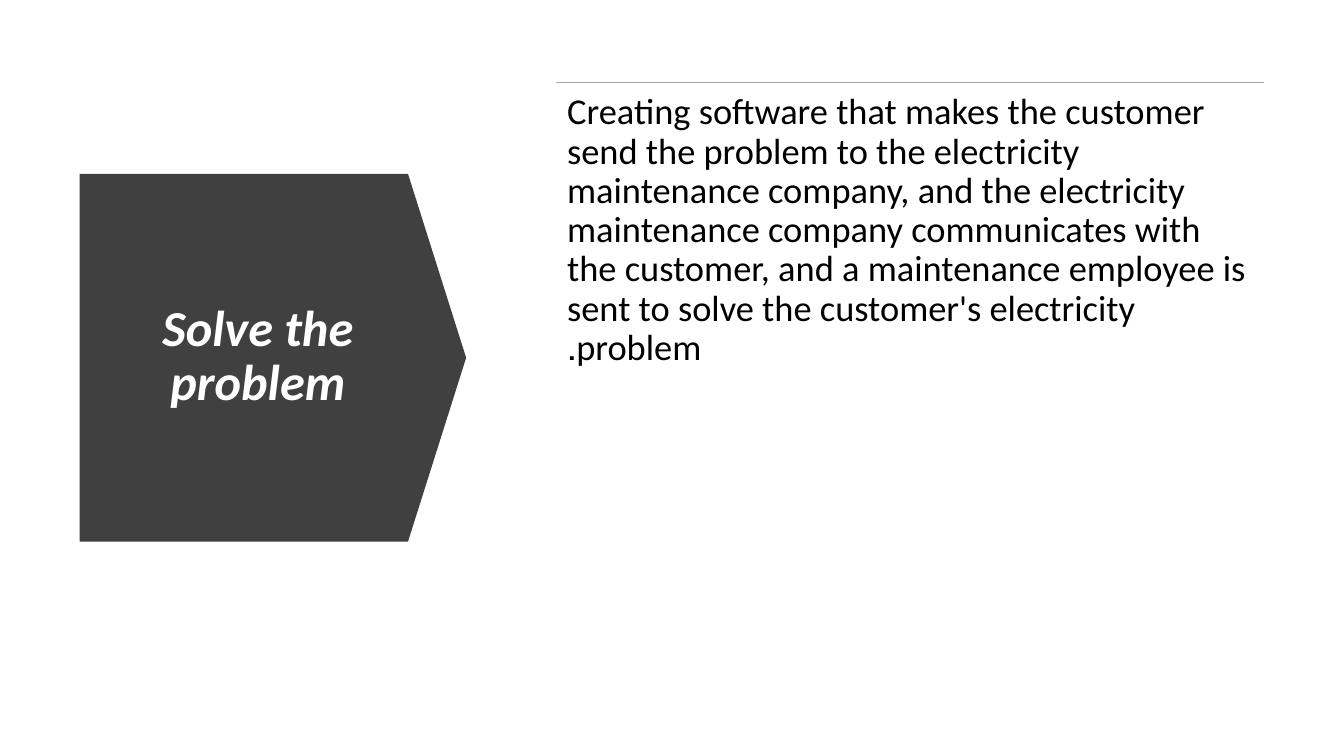
import pptx
import pptx.util
import pptx.dml.color
import pptx.enum.shapes
import pptx.enum.text
import pptx.oxml.ns
import lxml.etree

COLOURS = {"arrow": "404040", "rule": "A5A5A5", "title": "FFFFFF", "body": "000000"}
COLUMNS = 16
SLIDE_WIDTH = pptx.util.Inches(13.33)
SLIDE_HEIGHT = pptx.util.Inches(7.5)
BODY_LEFT, BODY_TOP, BODY_WIDTH = 6.62, 0.98, 8.43


def grid(*cells):
    """Turn counts of square grid cells into slide lengths."""
    return [round(cell * SLIDE_WIDTH / COLUMNS) for cell in cells]


def colour(name):
    """Look up a named colour."""
    return pptx.dml.color.RGBColor.from_string(COLOURS[name])


def add_arrow(page, left, top, width, height):
    """Add the broad arrow that points right at the body text."""
    arrow = page.shapes.add_shape(
        pptx.enum.shapes.MSO_SHAPE.DOWN_ARROW, *grid(left, top, width, height))
    arrow.rotation = 270
    arrow.adjustments[0] = 1
    arrow.adjustments[1] = 0.158
    arrow.shadow.inherit = False
    arrow.fill.solid()
    arrow.fill.fore_color.rgb = colour("arrow")
    arrow.line.fill.background()


def add_rule(page, left, top, width):
    """Add a thin horizontal line without a shadow."""
    rule = page.shapes.add_connector(
        pptx.enum.shapes.MSO_CONNECTOR.STRAIGHT, *grid(left, top, left + width, top))
    rule.line.color.rgb = colour("rule")
    rule.line.width = pptx.util.Pt(1)
    properties = rule._element.spPr
    lxml.etree.SubElement(properties, pptx.oxml.ns.qn("a:effectLst"))


def add_text(page, text, cells, size, ink, align="LEFT", anchor="TOP",
             bold=False, italic=False, inset=None, right_to_left=False):
    """Add a wrapped text box holding one formatted paragraph."""
    box = page.shapes.add_textbox(*grid(*cells))
    frame = box.text_frame
    frame.word_wrap = True
    frame.vertical_anchor = pptx.enum.text.MSO_ANCHOR[anchor]
    if inset is not None:
        frame.margin_left = frame.margin_right = pptx.util.Inches(inset)
        frame.margin_top = frame.margin_bottom = pptx.util.Inches(inset)
    para = frame.paragraphs[0]
    para.alignment = pptx.enum.text.PP_ALIGN[align]
    para.line_spacing = 0.9
    if right_to_left:
        para._p.get_or_add_pPr().set("rtl", "1")
    span = para.add_run()
    span.text = text
    span.font.name = "Calibri"
    span.font.size = pptx.util.Pt(size)
    span.font.bold = bold
    span.font.italic = italic
    span.font.color.rgb = colour(ink)


def main():
    """Build the slide and save the deck."""
    deck = pptx.Presentation()
    deck.slide_width = SLIDE_WIDTH
    deck.slide_height = SLIDE_HEIGHT
    page = deck.slides.add_slide(deck.slide_layouts[6])
    add_arrow(page, 1.06, 1.96, 4.38, 4.6)
    add_text(page, "Solve the problem", (1.34, 2.58, 3.46, 3.35), 36, "title",
             align="CENTER", anchor="MIDDLE", bold=True, italic=True)
    add_rule(page, BODY_LEFT, BODY_TOP, BODY_WIDTH)
    add_text(page, "Creating software that makes the customer send the problem to the "
             "electricity maintenance company, and the electricity maintenance company "
             "communicates with the customer, and a maintenance employee is sent to "
             "solve the customer's electricity problem.",
             (BODY_LEFT, BODY_TOP, BODY_WIDTH, 3.65), 26, "body",
             inset=0.11, right_to_left=True)
    deck.save("out.pptx")


if __name__ == "__main__":
    main()
